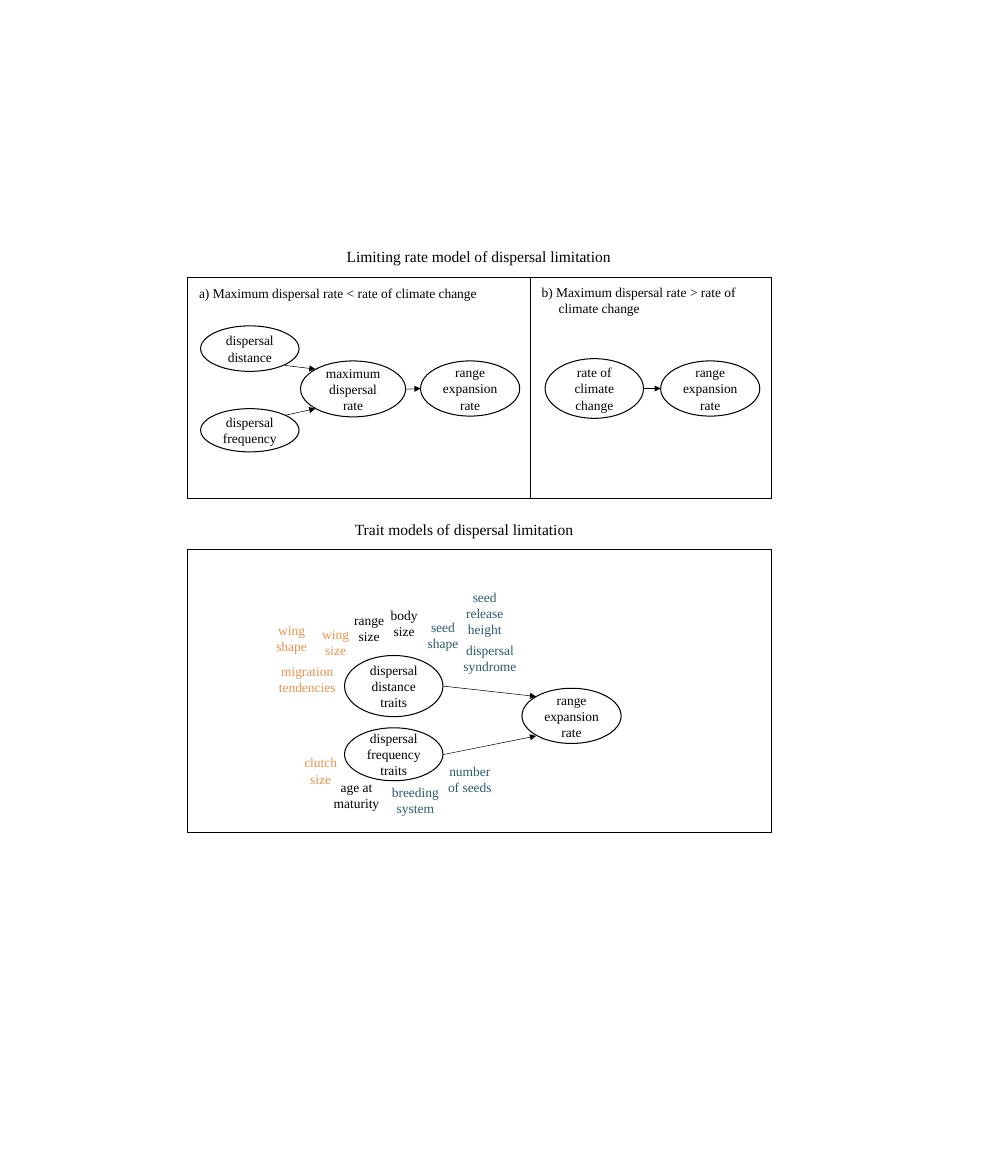
from dataclasses import dataclass

from lxml import etree
from pptx import Presentation
from pptx.dml.color import RGBColor
from pptx.enum.shapes import MSO_CONNECTOR, MSO_SHAPE
from pptx.enum.text import MSO_ANCHOR, MSO_AUTO_SIZE, PP_ALIGN
from pptx.oxml.ns import qn
from pptx.util import Inches, Pt

OVAL = MSO_SHAPE.OVAL
RECTANGLE = MSO_SHAPE.RECTANGLE
STRAIGHT = MSO_CONNECTOR.STRAIGHT
MIDDLE = MSO_ANCHOR.MIDDLE
FIT_SHAPE = MSO_AUTO_SIZE.SHAPE_TO_FIT_TEXT
LEFT = PP_ALIGN.LEFT
CENTER = PP_ALIGN.CENTER


@dataclass(frozen=True)
class Theme:
    font: str = "Times New Roman"
    body_size: float = 13
    title_size: float = 15
    outline: float = 1
    arrow: float = 0.5
    black: str = "000000"
    animal: str = "E8934E"
    plant: str = "2C5B6A"


THEME = Theme()
LABEL_WIDTH, LABEL_HEIGHT = 1.32, 0.87


def write_text(frame, text, size=THEME.body_size, color=THEME.black,
               align=LEFT, last_indent=0):
    lines = text.split("\n")
    for index, line in enumerate(lines):
        paragraph = frame.paragraphs[0] if index == 0 else frame.add_paragraph()
        paragraph.alignment = align
        if last_indent and index == len(lines) - 1:
            paragraph._p.get_or_add_pPr().set("marL", str(Inches(last_indent)))
        run = paragraph.add_run()
        run.text = line
        run.font.name = THEME.font
        run.font.size = Pt(size)
        run.font.color.rgb = RGBColor.from_string(color)


class Diagram:
    def __init__(self, slide, theme):
        self.slide = slide
        self.theme = theme

    def outline(self, kind, left, top, width, height, visible=True):
        shape = self.slide.shapes.add_shape(
            kind, Inches(left), Inches(top), Inches(width), Inches(height))
        shape.shadow.inherit = False
        shape.fill.background()
        if visible:
            shape.line.color.rgb = RGBColor.from_string(self.theme.black)
            shape.line.width = Pt(self.theme.outline)
        else:
            shape.line.fill.background()
        return shape

    def panel(self, left, top, width, height):
        self.outline(RECTANGLE, left, top, width, height)

    def oval(self, text, left, top, width, height, visible=True, **text_format):
        shape = self.outline(OVAL, left, top, width, height, visible)
        shape.text_frame.word_wrap = True
        shape.text_frame.vertical_anchor = MIDDLE
        write_text(shape.text_frame, text, **text_format)

    def node(self, text, left, top, width, height):
        self.oval(text, left, top, width, height, align=CENTER)

    def trait(self, text, left, top, color, width=LABEL_WIDTH):
        self.oval(text, left, top, width, LABEL_HEIGHT, visible=False,
                  color=color, align=CENTER)

    def caption(self, text, left, top, width, last_indent=0):
        self.oval(text, left, top, width, LABEL_HEIGHT, visible=False,
                  last_indent=last_indent)

    def title(self, text, left, top, width):
        shape = self.slide.shapes.add_textbox(
            Inches(left), Inches(top), Inches(width), Inches(0.35))
        shape.text_frame.word_wrap = False
        shape.text_frame.auto_size = FIT_SHAPE
        write_text(shape.text_frame, text, size=self.theme.title_size)

    def arrow(self, *ends):
        connector = self.slide.shapes.add_connector(
            STRAIGHT, *(Inches(end) for end in ends))
        connector.line.color.rgb = RGBColor.from_string(self.theme.black)
        connector.line.width = Pt(self.theme.arrow)
        line = connector.line._get_or_add_ln()
        etree.SubElement(line, qn("a:tailEnd"), type="triangle")
        etree.SubElement(connector._element.spPr, qn("a:effectLst"))


def build_limiting_rate_model(diagram):
    diagram.title("Limiting rate model of dispersal limitation", 4.55, 3.26, 3.77)
    diagram.panel(2.51, 3.72, 4.6, 2.96)
    diagram.panel(7.12, 3.72, 3.23, 2.96)
    diagram.caption("a) Maximum dispersal rate < rate of climate change",
                    1.63, 3.49, 6.43)
    diagram.caption("b) Maximum dispersal rate > rate of\nclimate change",
                    6.34, 3.59, 5.63, last_indent=0.23)
    for node in (
        ("dispersal distance", 2.69, 4.37, 1.32, 0.61),
        ("dispersal frequency", 2.69, 5.48, 1.32, 0.58),
        ("maximum dispersal rate", 4.03, 4.84, 1.41, 0.75),
        ("range expansion rate", 5.64, 4.84, 1.33, 0.74),
        ("rate of climate change", 7.31, 4.81, 1.32, 0.8),
        ("range expansion rate", 8.86, 4.84, 1.33, 0.74),
    ):
        diagram.node(*node)
    for ends in (
        (3.82, 4.9, 4.23, 4.95),
        (3.82, 5.57, 4.23, 5.48),
        (5.44, 5.22, 5.64, 5.21),
        (8.63, 5.21, 8.86, 5.21),
    ):
        diagram.arrow(*ends)


def build_trait_models(diagram):
    theme = diagram.theme
    diagram.title("Trait models of dispersal limitation", 4.66, 6.92, 3.15)
    diagram.panel(2.51, 7.37, 7.84, 3.8)
    for trait in (
        ("migration tendencies", 3.42, 8.67, theme.animal, 1.4),
        ("wing shape", 3.25, 8.12, theme.animal),
        ("wing\nsize", 3.84, 8.18, theme.animal),
        ("range\nsize", 4.29, 7.99, theme.black),
        ("body\nsize", 4.76, 7.92, theme.black),
        ("seed shape", 5.28, 8.08, theme.plant),
        ("seed release height", 5.84, 7.79, theme.plant),
        ("dispersal syndrome", 5.91, 8.39, theme.plant),
        ("clutch size", 3.64, 9.9, theme.animal),
        ("age at maturity", 4.12, 10.23, theme.black),
        ("breeding system", 4.91, 10.29, theme.plant),
        ("number of seeds", 5.64, 10.01, theme.plant),
    ):
        diagram.trait(*trait)
    diagram.node("dispersal distance\ntraits", 4.62, 8.79, 1.32, 0.82)
    diagram.node("dispersal frequency\ntraits", 4.62, 9.76, 1.32, 0.71)
    diagram.node("range expansion rate", 7, 9.23, 1.33, 0.74)
    diagram.arrow(5.94, 9.2, 7.19, 9.34)
    diagram.arrow(5.94, 10.12, 7.19, 9.87)


def main():
    presentation = Presentation()
    presentation.slide_width = Inches(13.33)
    presentation.slide_height = Inches(15.77)
    slide = presentation.slides.add_slide(presentation.slide_layouts[6])
    diagram = Diagram(slide, THEME)
    build_limiting_rate_model(diagram)
    build_trait_models(diagram)
    presentation.save("out.pptx")


if __name__ == "__main__":
    main()
